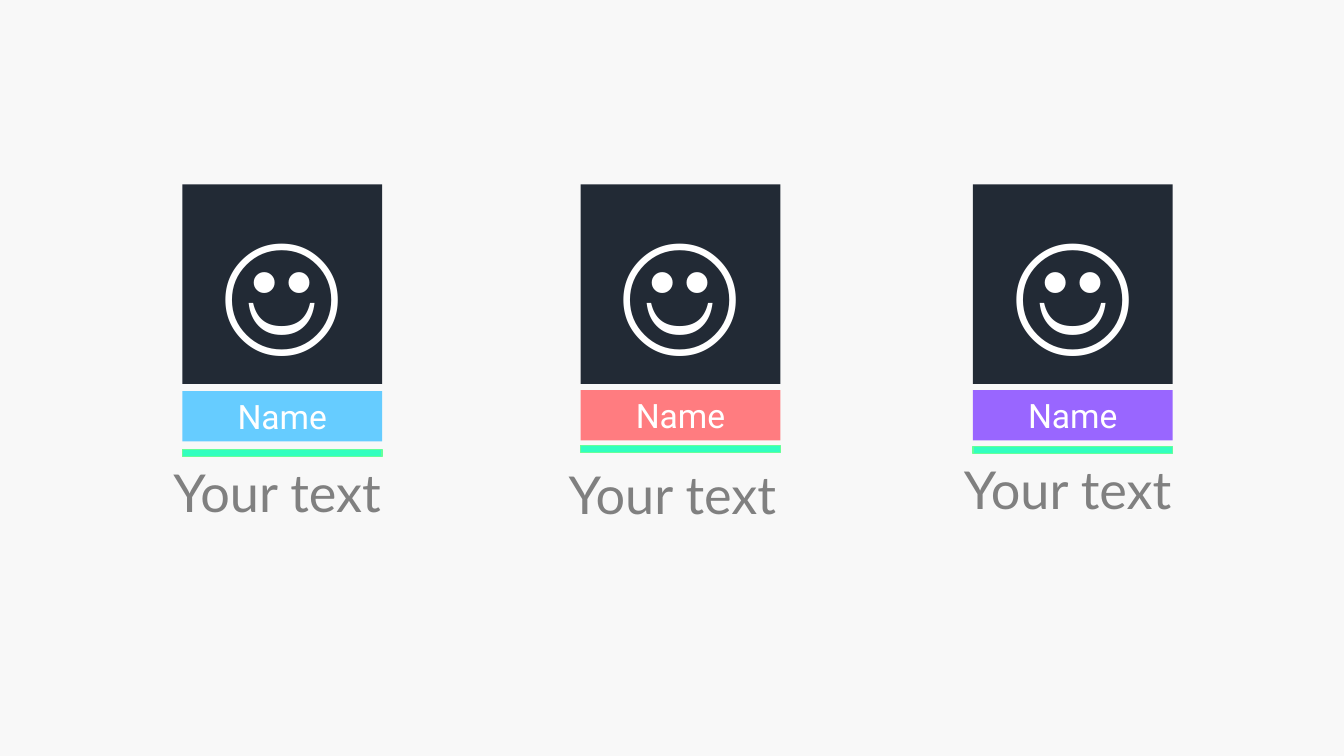
"""Build a slide of three team member cards."""
import dataclasses
import typing

import pptx
import pptx.dml.color
import pptx.enum.shapes
import pptx.enum.text
import pptx.util

Inches = pptx.util.Inches
ANCHOR = pptx.enum.text.MSO_ANCHOR
GROW = pptx.enum.text.MSO_AUTO_SIZE.SHAPE_TO_FIT_TEXT

CARD_WIDTH = 1.98
PORTRAIT_TOP = 1.83
CAPTION_WIDTH = 2.34


@dataclasses.dataclass(frozen=True)
class Member:
    left: float
    color: str
    name_top: float
    accent_top: float
    caption_left: float
    caption_top: float


@dataclasses.dataclass(frozen=True)
class Label:
    text: str
    size: float
    font: str
    color: str
    frame: dict[str, typing.Any]


MEMBERS = (
    Member(1.81, "66CCFF", 3.88, 4.46, 1.58, 4.52),
    Member(5.76, "FF7C80", 3.87, 4.42, 5.5, 4.54),
    Member(9.65, "9966FF", 3.87, 4.43, 9.42, 4.49),
)

GROWING = {"word_wrap": True, "auto_size": GROW, "vertical_anchor": ANCHOR.TOP}
CENTERED = {
    "word_wrap": True,
    "vertical_anchor": ANCHOR.MIDDLE,
    "margin_left": Inches(0.13),
    "margin_right": Inches(0.13),
    "margin_top": Inches(0.07),
    "margin_bottom": Inches(0.07),
}
FACE = Label("☺", 96, "Roboto", "FFFFFF", CENTERED)
NAME = Label("Name", 24, "Roboto", "FFFFFF", GROWING)
CAPTION = Label("Your text", 37.3, "Lato", "808080", GROWING)


def rgb(value: str) -> pptx.dml.color.RGBColor:
    """Turn a hex string into a colour."""
    return pptx.dml.color.RGBColor.from_string(value)


def apply_format(target: typing.Any, values: dict[str, typing.Any]) -> None:
    """Set each format value on the target."""
    for attribute, value in values.items():
        setattr(target, attribute, value)


def write_label(shape: typing.Any, label: Label) -> None:
    """Write a centred label into a shape."""
    apply_format(shape.text_frame, label.frame)
    paragraph = shape.text_frame.paragraphs[0]
    paragraph.alignment = pptx.enum.text.PP_ALIGN.CENTER
    run = paragraph.add_run()
    run.text = label.text
    apply_format(run.font, {"size": pptx.util.Pt(label.size), "name": label.font})
    run.font.color.rgb = rgb(label.color)


def add_block(slide: typing.Any, left: float, top: float, height: float, color: str) -> typing.Any:
    """Add a plain rectangle as wide as a card."""
    block = slide.shapes.add_shape(
        pptx.enum.shapes.MSO_SHAPE.RECTANGLE,
        Inches(left), Inches(top), Inches(CARD_WIDTH), Inches(height),
    )
    block.shadow.inherit = False
    block.fill.solid()
    block.fill.fore_color.rgb = rgb(color)
    block.line.fill.background()
    return block


def add_member(slide: typing.Any, member: Member) -> None:
    """Draw one member card with its caption."""
    portrait = add_block(slide, member.left, PORTRAIT_TOP, CARD_WIDTH, "222A35")
    write_label(portrait, FACE)
    name_bar = add_block(slide, member.left, member.name_top, 0.5, member.color)
    write_label(name_bar, NAME)
    accent = add_block(slide, member.left, member.accent_top, 0.07, "32FFBF")
    accent.line.color.rgb = rgb("66FF99")
    accent.line.width = pptx.util.Pt(1)
    caption = slide.shapes.add_textbox(
        Inches(member.caption_left), Inches(member.caption_top),
        Inches(CAPTION_WIDTH), Inches(0.73),
    )
    write_label(caption, CAPTION)


def main() -> None:
    """Create and save the presentation."""
    deck = pptx.Presentation()
    apply_format(deck, {"slide_width": Inches(13.33), "slide_height": Inches(7.5)})
    slide = deck.slides.add_slide(deck.slide_layouts[6])
    slide.background.fill.solid()
    slide.background.fill.fore_color.rgb = rgb("F8F8F8")
    for member in MEMBERS:
        add_member(slide, member)
    deck.save("out.pptx")


if __name__ == "__main__":
    main()
